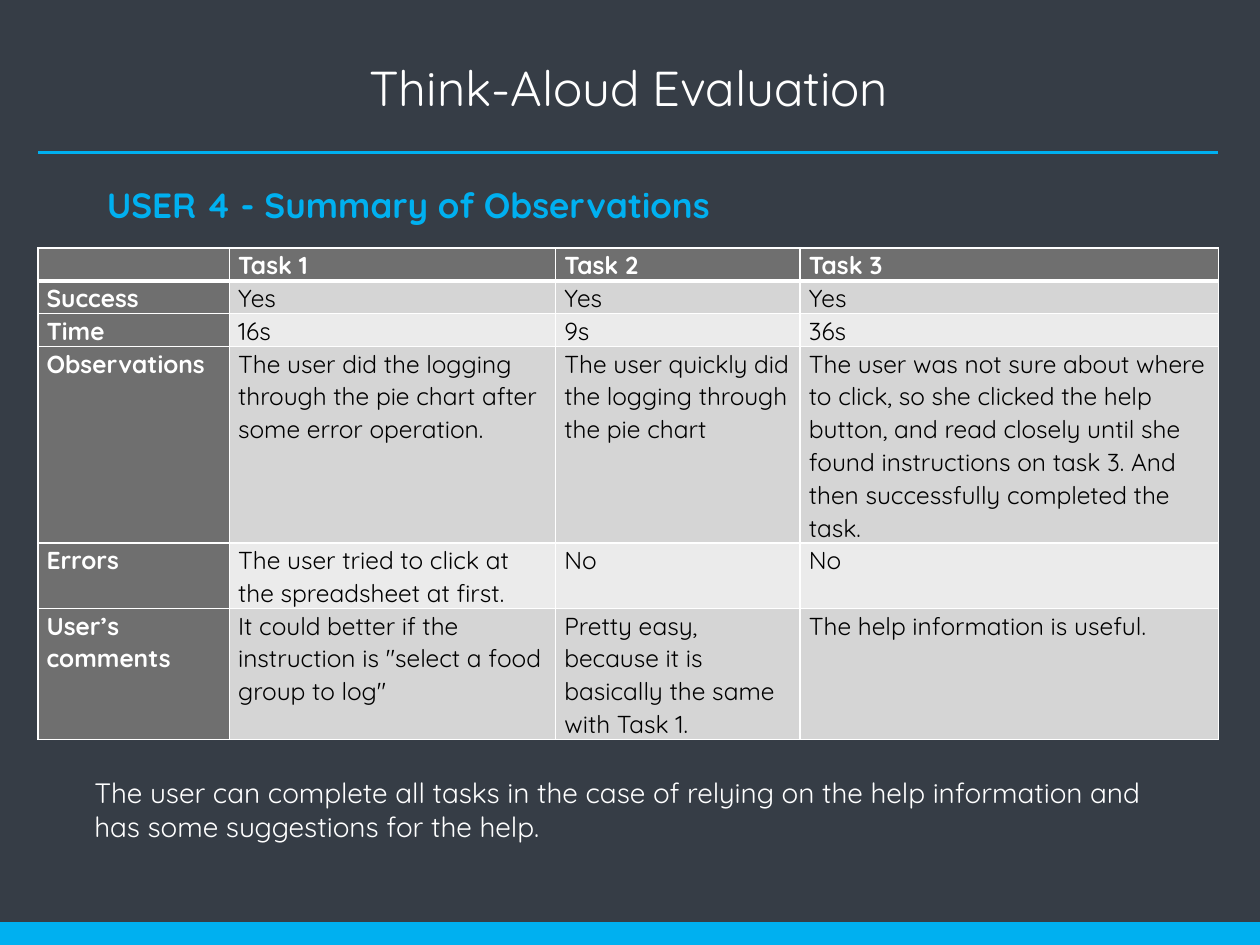
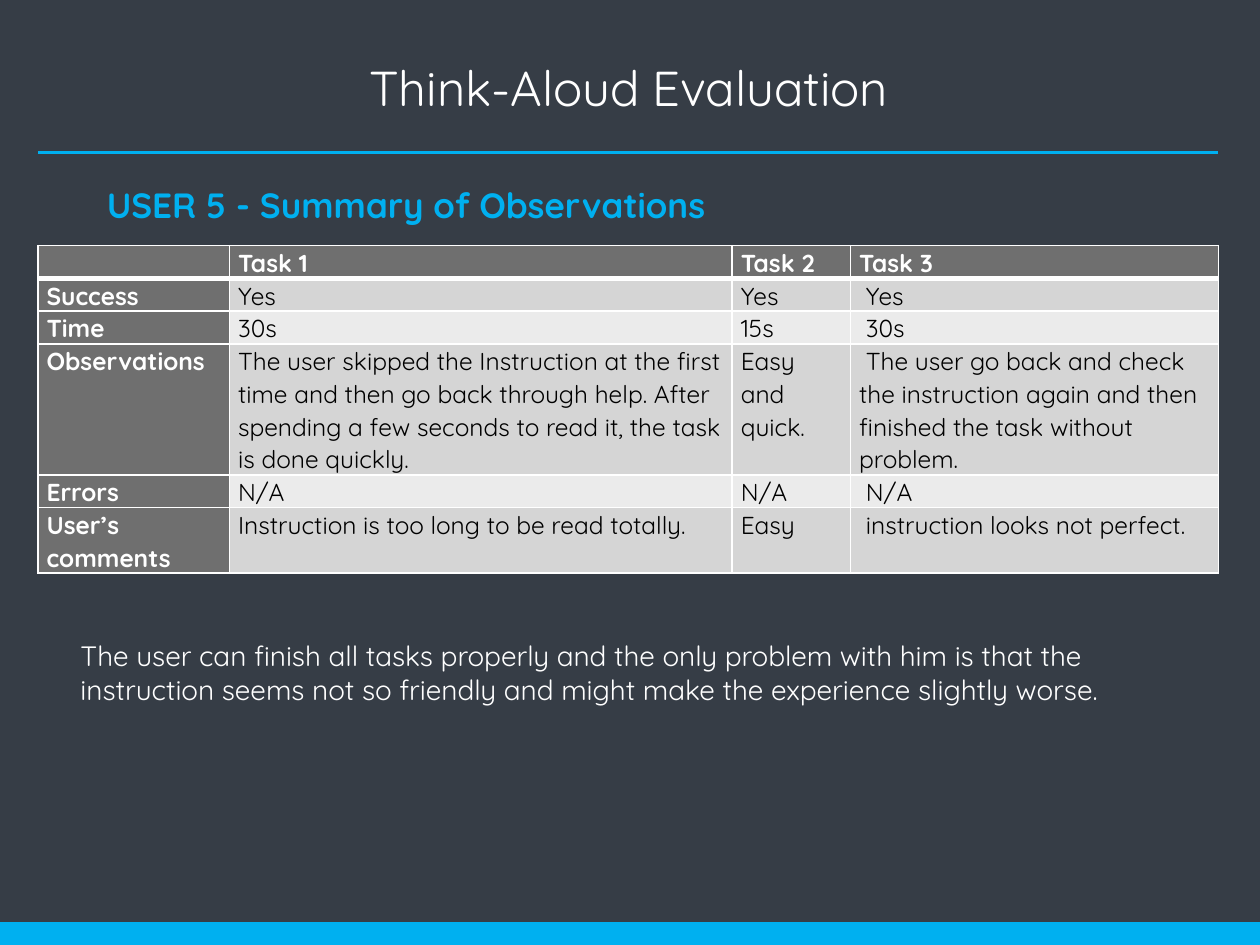
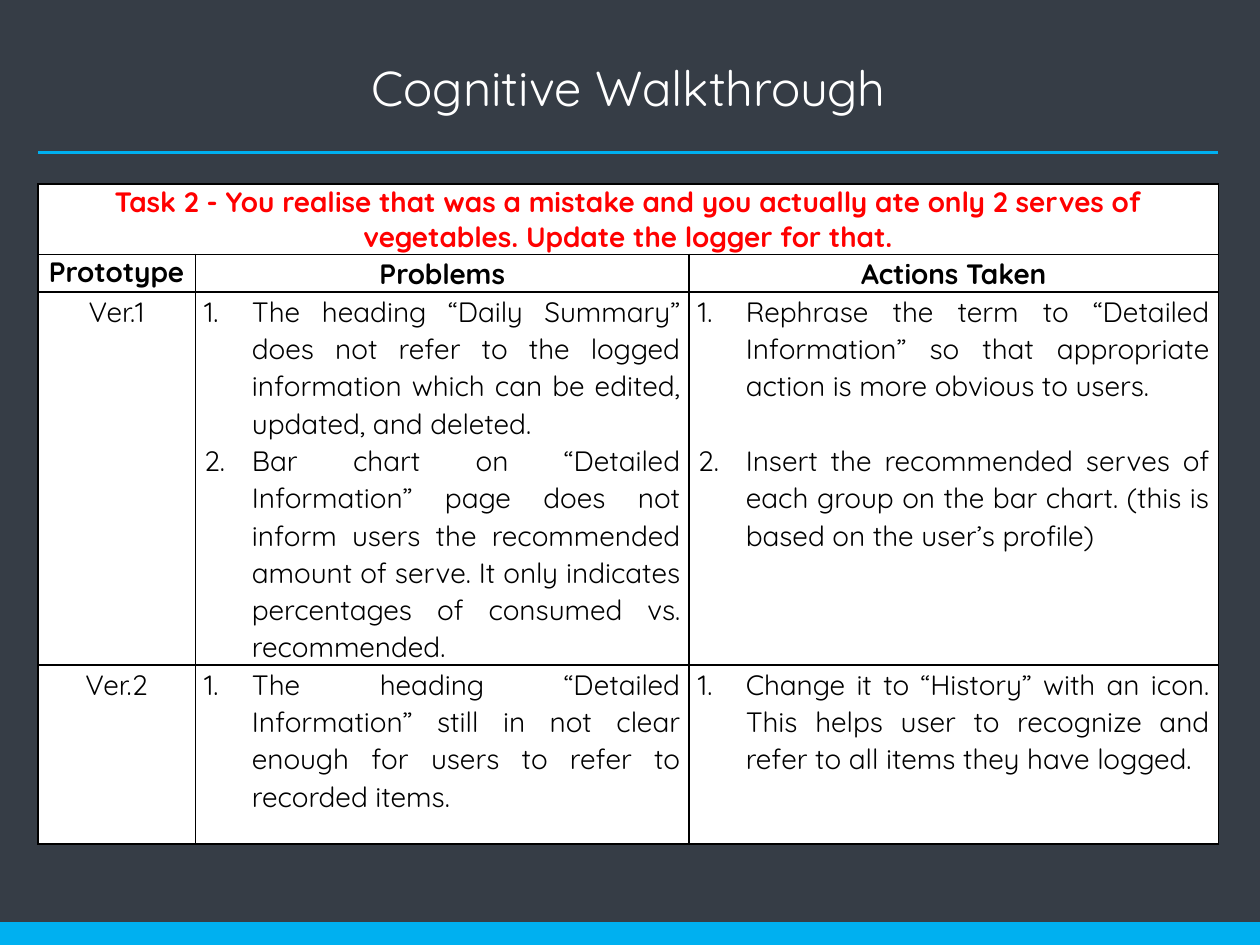
from dataclasses import dataclass, replace

from lxml import etree
from pptx import Presentation
from pptx import util as u
from pptx.dml.color import RGBColor
from pptx.enum import shapes, text
from pptx.oxml import ns

FONT = "Quicksand"
HEX = {
    "back": "363D46",
    "blue": "00B0F0",
    "white": "FFFFFF",
    "black": "000000",
    "red": "FF0000",
    "head": "6F6F6F",
    "odd": "D5D5D5",
    "even": "EBEBEB",
}
LEFT, RIGHT = 0.3, 9.67
LINE = 0.26  # height of one line of 14 point table text
CENTER, JUSTIFY = text.PP_ALIGN.CENTER, text.PP_ALIGN.JUSTIFY


@dataclass(frozen=True)
class Style:
    size: int
    color: str = "white"
    bold: bool = False
    align: text.PP_ALIGN | None = None
    space: float | None = None
    listed: bool = False
    gap: float = 0


TITLE = Style(28, align=CENTER)
KICKER = Style(20, "blue", True)
NOTE = Style(16)
HEAD = Style(14, bold=True, space=1.07)
DATA = Style(14, "black", space=1.07)
TASK = Style(16, "red", True, CENTER)
PROTO = replace(TASK, color="black")
LABEL = replace(PROTO, space=1.07)
VERSION = replace(LABEL, bold=False)
ITEMS = replace(VERSION, align=JUSTIFY, listed=True)


@dataclass(frozen=True)
class Review:
    user: int
    top: float
    cols: tuple[float, ...]
    lines: tuple[int, ...]
    rows: tuple[tuple[str, ...], ...]
    note: str
    spot: tuple[float, float]


LABELS = ("", "Success", "Time", "Observations", "Errors", "User’s comments")
TASKS = ("Task 1", "Task 2", "Task 3")
REVIEWS = (
    Review(
        4, 1.97, (1.52, 2.59, 1.94, 3.32), (1, 1, 1, 6, 2, 4),
        (
            ("Yes", "Yes", "Yes"),
            ("16s", "9s", "36s"),
            (
                "The user did the logging through the pie chart after some error operation.",
                "The user quickly did the logging through the pie chart",
                "The user was not sure about where to click, so she clicked the help button, "
                "and read closely until she found instructions on task 3. And then "
                "successfully completed the task.",
            ),
            ("The user tried to click at the spreadsheet at first.", "No", "No"),
            (
                'It could better if the instruction is "select a food group to log"',
                "Pretty easy, because it is basically the same with Task 1.",
                "The help information is useful.",
            ),
        ),
        "The user can complete all tasks in the case of relying on the help information "
        "and has some suggestions for the help.",
        (0.65, 6.11),
    ),
    Review(
        5, 1.95, (1.52, 3.99, 0.94, 2.92), (1, 1, 1, 4, 1, 2),
        (
            ("Yes", "Yes", " Yes"),
            ("30s", "15s", " 30s"),
            (
                "The user skipped the Instruction at the first time and then go back through "
                "help. After spending a few seconds to read it, the task is done quickly.",
                "Easy and quick.",
                " The user go back and check the instruction again and then finished the "
                "task without problem.",
            ),
            ("N/A", "N/A", " N/A"),
            (
                "Instruction is too long to be read totally.",
                "Easy",
                " instruction looks not perfect.",
            ),
        ),
        "The user can finish all tasks properly and the only problem with him is that the "
        "instruction seems not so friendly and might make the experience slightly worse.",
        (0.54, 5.02),
    ),
)

WALK = (
    (
        ("Task 2 - You realise that was a mistake and you actually ate only 2 serves of "
         "vegetables. Update the logger for that.", TASK),
        ("", TASK),
        ("", TASK),
    ),
    (("Prototype", PROTO), ("Problems", LABEL), ("Actions Taken", LABEL)),
    (
        ("Ver.1", VERSION),
        ("The heading “Daily Summary” does not refer to the logged information which can "
         "be edited, updated, and deleted.\n"
         "Bar chart on “Detailed Information” page does not inform users the recommended "
         "amount of serve. It only indicates percentages of consumed vs. recommended.", ITEMS),
        ("Rephrase the term to “Detailed Information” so that appropriate action is more "
         "obvious to users.\n"
         "Insert the recommended serves of each group on the bar chart. (this is based on "
         "the user’s profile)", replace(ITEMS, gap=21.4)),
    ),
    (
        ("Ver.2", VERSION),
        ("The heading “Detailed Information” still in not clear enough for users to refer "
         "to recorded items.", ITEMS),
        ("Change it to “History” with an icon. This helps user to recognize and refer to "
         "all items they have logged.", ITEMS),
    ),
)


def rgb(name: str) -> RGBColor:
    return RGBColor.from_string(HEX[name])


def write(frame, words: str, style: Style) -> None:
    frame.text = words
    for i, para in enumerate(frame.paragraphs):
        para.alignment = style.align
        if style.space:
            para.line_spacing = style.space
        if style.gap and i:
            para.space_before = u.Pt(style.gap)
        if style.listed:
            props = para._p.get_or_add_pPr()
            props.set("marL", str(u.Inches(0.38)))
            props.set("indent", str(u.Inches(-0.38)))
            etree.SubElement(props, ns.qn("a:buAutoNum"), type="arabicPeriod")
        for run in para.runs:
            font = run.font
            font.name, font.size, font.bold = FONT, u.Pt(style.size), style.bold
            font.color.rgb = rgb(style.color)
        if not para.runs:
            end = etree.SubElement(para._p, ns.qn("a:endParaRPr"), sz=str(style.size * 100))
            etree.SubElement(end, ns.qn("a:latin"), typeface=FONT)


def add_text(slide, left: float, top: float, width: float, height: float,
             words: str, style: Style) -> None:
    box = slide.shapes.add_textbox(*map(u.Inches, (left, top, width, height)))
    box.text_frame.word_wrap = True
    write(box.text_frame, words, style)


def start(deck, title: str):
    """Add a slide with its title, rule and bottom band."""
    slide = deck.slides.add_slide(deck.slide_layouts[5])
    head = slide.shapes.title
    head.left, head.top, head.width, head.height = map(u.Inches, (0.45, 0.17, 9.08, 1.04))
    head.text_frame.vertical_anchor = text.MSO_ANCHOR.MIDDLE
    write(head.text_frame, title, TITLE)

    rule = slide.shapes.add_connector(
        shapes.MSO_CONNECTOR.STRAIGHT, *map(u.Inches, (LEFT, 1.21, RIGHT, 1.21)))
    etree.SubElement(rule._element.spPr, ns.qn("a:effectLst"))
    band = slide.shapes.add_shape(
        shapes.MSO_SHAPE.RECTANGLE, *map(u.Inches, (0, 7.33, 10, 0.17)))
    band.shadow.inherit = False
    band.fill.solid()
    band.fill.fore_color.rgb = rgb("blue")
    for shape in (rule, band):
        shape.line.color.rgb = rgb("blue")
        shape.line.width = u.Pt(1.5)
    return slide


def add_grid(slide, top: float, cols: tuple[float, ...], rows: tuple[float, ...]):
    """Add a plain table with the given column widths and row heights."""
    grid = slide.shapes.add_table(
        len(rows), len(cols), *map(u.Inches, (LEFT, top, sum(cols), sum(rows)))).table
    grid.first_row = grid.horz_banding = False
    for col, width in zip(grid.columns, cols):
        col.width = u.Inches(width)
    for row, height in zip(grid.rows, rows):
        row.height = u.Inches(height)
    return grid


def fill_cell(cell, words: str, style: Style, fill: str, edge: str,
              above: int = 1, below: int = 1) -> None:
    cell.margin_left = cell.margin_right = u.Inches(0.07)
    cell.margin_top = cell.margin_bottom = 0
    write(cell.text_frame, words, style)
    cell.fill.solid()
    cell.fill.fore_color.rgb = rgb(fill)
    props = cell._tc.get_or_add_tcPr()
    sides = {"lnL": 1, "lnR": 1, "lnT": above, "lnB": below}
    for i, (side, width) in enumerate(sides.items()):
        line = etree.Element(ns.qn(f"a:{side}"), w=str(u.Pt(width)))
        paint = etree.SubElement(line, ns.qn("a:solidFill"))
        etree.SubElement(paint, ns.qn("a:srgbClr"), val=HEX[edge])
        props.insert(i, line)


def add_review(deck, review: Review) -> None:
    slide = start(deck, "Think-Aloud Evaluation")
    add_text(slide, 0.75, 1.41, 8.48, 0.45,
             f"USER {review.user} - Summary of Observations", KICKER)
    heights = tuple(LINE * count for count in review.lines)
    grid = add_grid(slide, review.top, review.cols, heights)
    for r, (label, row) in enumerate(zip(LABELS, (TASKS, *review.rows))):
        for c, words in enumerate((label, *row)):
            header = r == 0 or c == 0
            fill = "head" if header else "odd" if r % 2 else "even"
            fill_cell(grid.cell(r, c), words, HEAD if header else DATA, fill, "white",
                      above=3 if r == 1 else 1, below=3 if r == 0 else 1)
    add_text(slide, *review.spot, 8.88, 0.64, review.note, NOTE)


def add_walk(deck) -> None:
    slide = start(deck, "Cognitive Walkthrough")
    grid = add_grid(slide, 1.46, (1.25, 3.92, 4.2), (0.56, 0.29, 2.96, 1.42))
    for r, row in enumerate(WALK):
        for c, (words, style) in enumerate(row):
            fill_cell(grid.cell(r, c), words, style, "white", "black")
    task = grid.cell(0, 0)
    task.merge(grid.cell(0, 2))
    task.vertical_anchor = text.MSO_ANCHOR.MIDDLE


def main() -> None:
    deck = Presentation()
    deck.slide_width, deck.slide_height = u.Inches(10), u.Inches(7.5)
    back = deck.slide_master.background.fill
    back.solid()
    back.fore_color.rgb = rgb("back")
    for review in REVIEWS:
        add_review(deck, review)
    add_walk(deck)
    deck.save("out.pptx")


if __name__ == "__main__":
    main()
